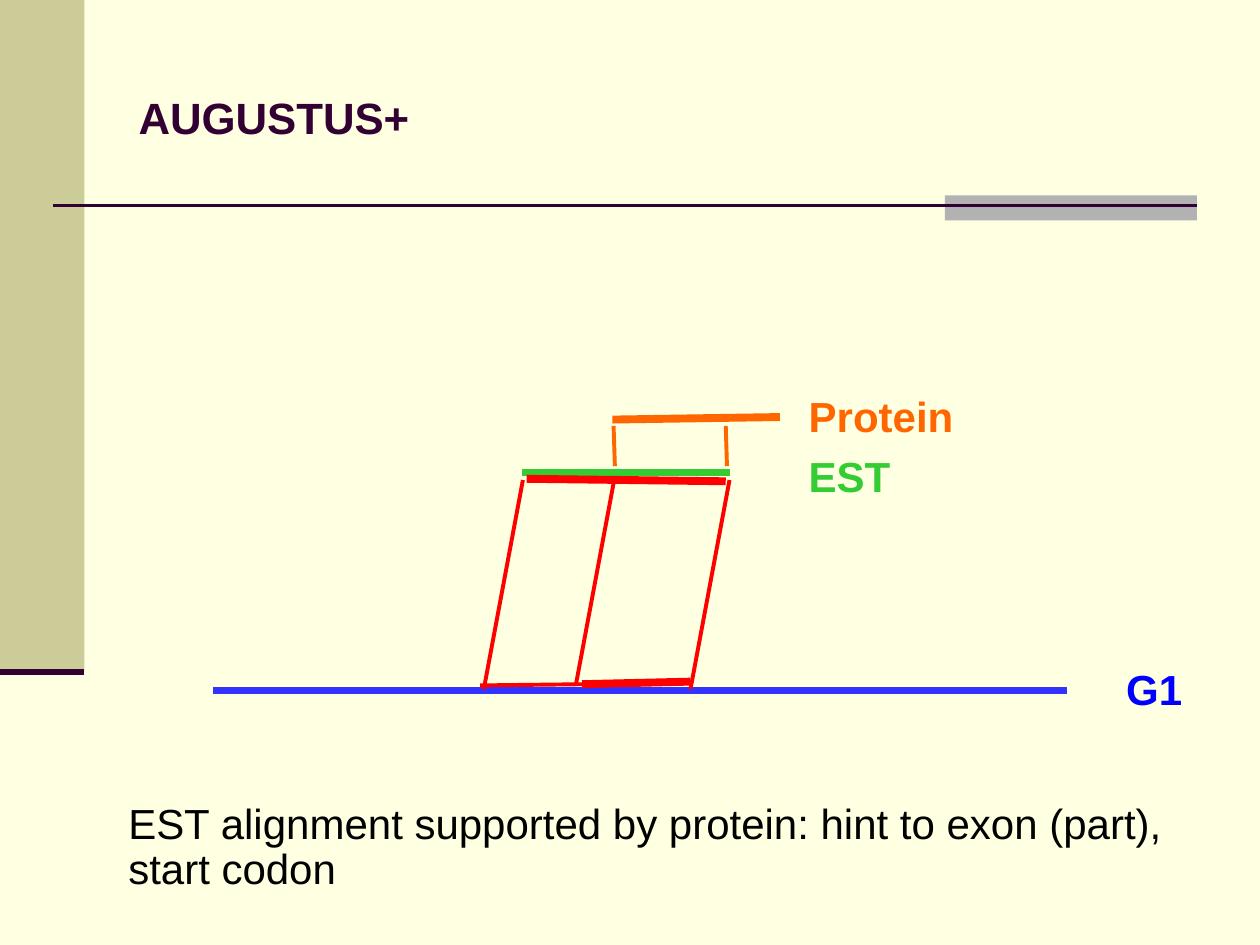
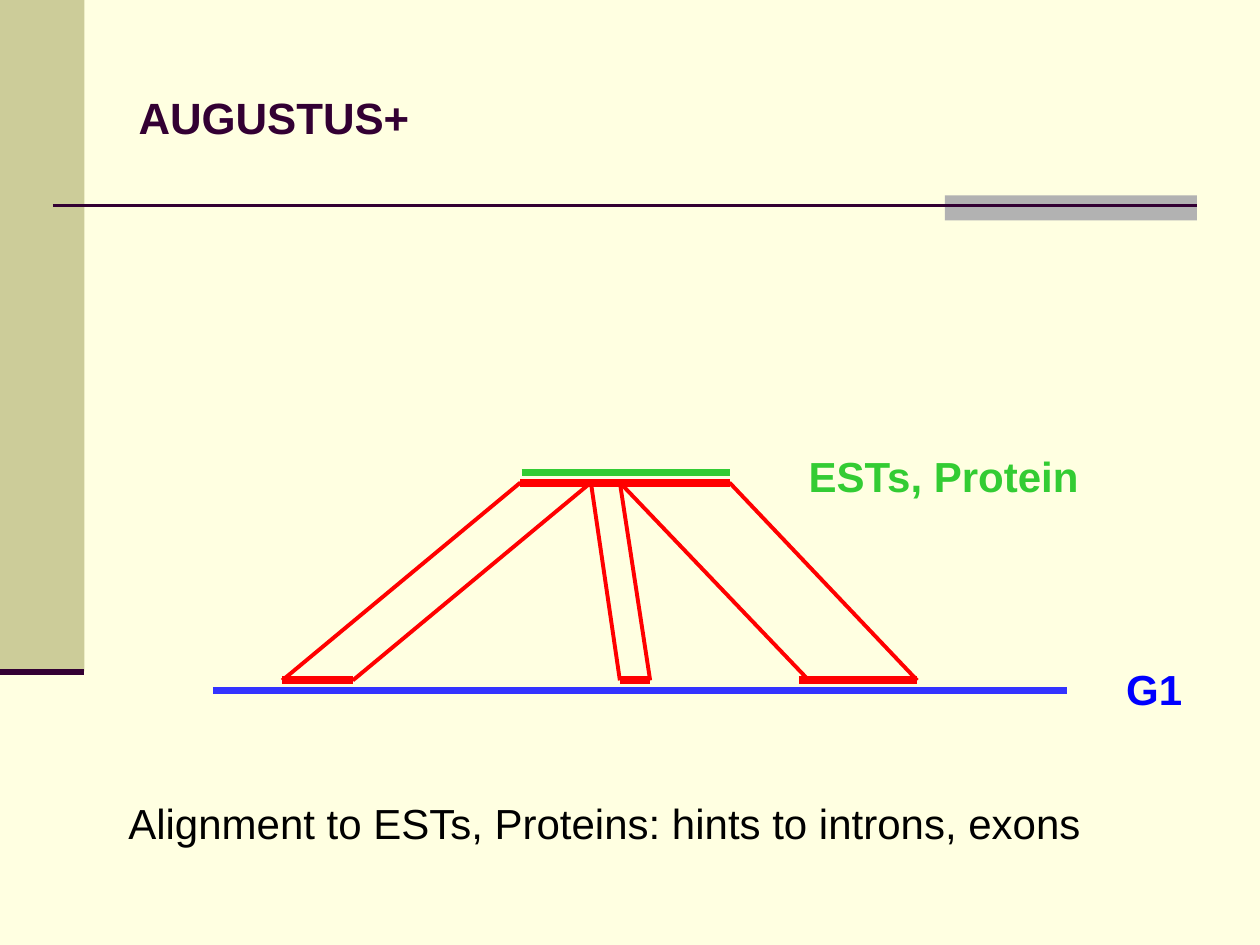
from lxml.etree import SubElement
from pptx import Presentation
from pptx.dml.color import RGBColor
from pptx.enum.shapes import MSO_CONNECTOR as CONN, MSO_SHAPE as SHAPE
from pptx.enum.text import MSO_ANCHOR as ANCHOR, MSO_AUTO_SIZE as FIT, PP_ALIGN as ALIGN
from pptx.oxml.ns import qn
from pptx.util import Inches, Pt

COLS, ROWS = 100, 75
HEX = {
    "page": "FFFFE1", "band": "CCCC99", "tab": "B2B2B2", "plum": "330033",
    "genome": "3333FF", "label": "0000FF", "est": "33CC33",
    "protein": "FF6600", "hint": "FF0000", "text": "000000",
}
THIN, THICK = 2.25, 4.5


def set_all(target, values):
    for name, value in values.items():
        setattr(target, name, value)


class Deck:
    def __init__(self):
        self.prs = Presentation()
        set_all(self.prs, {"slide_width": Inches(10), "slide_height": Inches(7.5)})
        self.s = None

    def x(self, cols):
        return round(self.prs.slide_width * cols / COLS)

    def y(self, rows):
        return round(self.prs.slide_height * rows / ROWS)

    def box(self, left, top, width, height):
        return self.x(left), self.y(top), self.x(width), self.y(height)

    def color(self, name):
        return RGBColor.from_string(HEX[name])

    def slide(self, title):
        self.s = self.prs.slides.add_slide(self.prs.slide_layouts[5])
        fill = self.s.background.fill
        fill.solid()
        fill.fore_color.rgb = self.color("page")
        self.rect("band", 0, 0, 6.7, 53.3)
        self.rect("tab", 75, 15.5, 20, 2)
        self.line("plum", (4.2, 16.3), (95, 16.3), 1.5)
        self.line("plum", (0, 53.3), (6.7, 53.3), 3.5)
        self.title(title)

    def title(self, text):
        sp = self.s.shapes.title
        left, top, width, height = self.box(10, 3, 85, 12.5)
        set_all(sp, {"left": left, "top": top, "width": width, "height": height})
        self.fill_text(sp.text_frame, [text], "plum", size=25, bold=True,
                       anchor=ANCHOR.MIDDLE)

    def rect(self, color, *place):
        sp = self.s.shapes.add_shape(SHAPE.RECTANGLE, *self.box(*place))
        sp.shadow.inherit = False
        sp.fill.solid()
        sp.fill.fore_color.rgb = self.color(color)
        sp.line.fill.background()

    def line(self, color, start, end, width=THIN):
        ends = [f(v) for point in (start, end) for f, v in zip((self.x, self.y), point)]
        sp = self.s.shapes.add_connector(CONN.STRAIGHT, *ends)
        sp.line.color.rgb = self.color(color)
        sp.line.width = Pt(width)
        SubElement(sp.element.spPr, qn("a:effectLst"))

    def fill_text(self, tf, texts, color, size=24, bold=False, wrap=True,
                  anchor=ANCHOR.TOP, spacing=1.0, gap=0):
        set_all(tf, {
            "word_wrap": wrap, "auto_size": FIT.NONE, "vertical_anchor": anchor,
            "margin_left": Inches(0.1), "margin_right": Inches(0.1),
            "margin_top": Inches(0.05), "margin_bottom": Inches(0.05),
        })
        for i, text in enumerate(texts):
            p = tf.add_paragraph() if i else tf.paragraphs[0]
            set_all(p, {"alignment": ALIGN.LEFT, "line_spacing": spacing,
                        "space_before": Pt(gap if i else 0)})
            r = p.add_run()
            r.text = text
            set_all(r.font, {"name": "Arial", "size": Pt(size), "bold": bold})
            r.font.color.rgb = self.color(color)

    def label(self, text, color, left, top, width):
        sp = self.s.shapes.add_textbox(*self.box(left, top, width, 5))
        self.fill_text(sp.text_frame, [text], color, bold=True, wrap=False)

    def caption(self, *texts):
        sp = self.s.shapes.add_textbox(*self.box(9.2, 63.7, 90, 4 * len(texts)))
        self.fill_text(sp.text_frame, texts, "text", spacing=0.75, gap=4.5)

    def tracks(self, est_label, est_width):
        self.line("genome", (16.9, 54.8), (84.7, 54.8), THICK)
        self.line("est", (41.4, 37.5), (57.9, 37.5), THICK)
        self.label(est_label, "est", 63.2, 35.3, est_width)
        self.label("G1", "label", 88.4, 52.2, 6.4)


def exon_part(deck):
    deck.slide("AUGUSTUS+")
    deck.tracks("EST", 8.5)
    deck.label("Protein", "protein", 63.2, 30.5, 13.5)
    deck.line("protein", (48.6, 33.3), (61.9, 33.1), THICK)
    for x in (48.7, 57.6):
        deck.line("protein", (x, 33.8), (x + 0.1, 37))
    deck.line("hint", (41.8, 38), (57.6, 38.2), THICK)
    deck.line("hint", (46.2, 54.3), (54.8, 54.1), THICK)
    deck.line("hint", (38.1, 54.4), (46.6, 54.3))
    for x, y in ((41.5, 38.1), (48.8, 37.8), (57.9, 38.1)):
        deck.line("hint", (x, y), (x - 3.1, y + 16.6))
    deck.caption("EST alignment supported by protein: hint to exon (part),",
                 "start codon")


def introns_and_exons(deck):
    deck.slide("AUGUSTUS+")
    deck.tracks("ESTs, Protein", 23.6)
    top, bottom = 38.3, 54
    deck.line("hint", (41.3, top), (57.9, top), THICK)
    for left, right in ((22.4, 28), (49.2, 51.6), (63.4, 72.8)):
        deck.line("hint", (left, bottom), (right, bottom), THICK)
    for x_top, x_bottom in ((41.3, 22.4), (46.9, 28), (46.9, 49.2),
                            (49.2, 51.6), (49.2, 64.2), (57.9, 72.8)):
        deck.line("hint", (x_top, top), (x_bottom, bottom))
    deck.caption("Alignment to ESTs, Proteins: hints to introns, exons")


def main():
    deck = Deck()
    exon_part(deck)
    introns_and_exons(deck)
    deck.prs.save("out.pptx")


if __name__ == "__main__":
    main()
